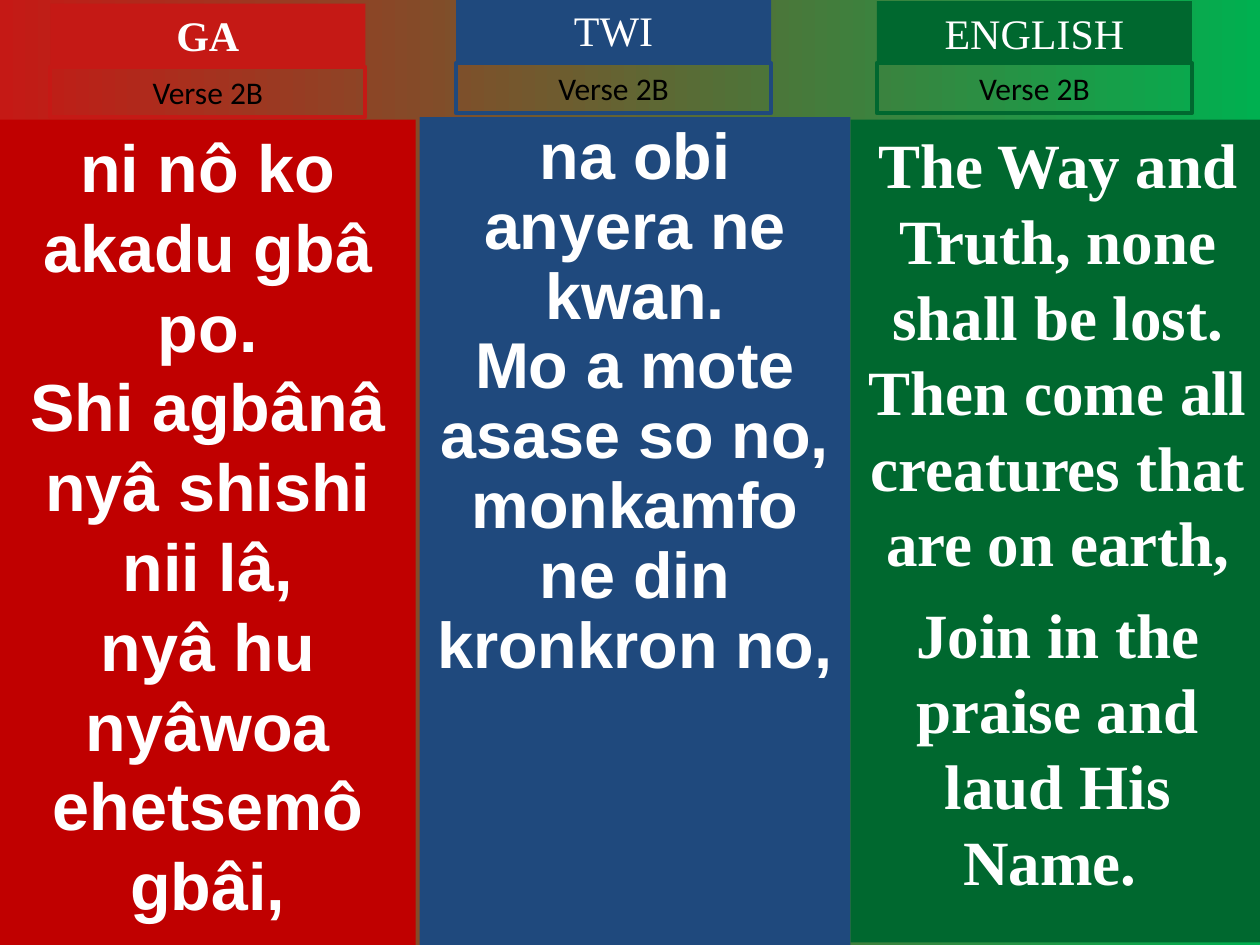
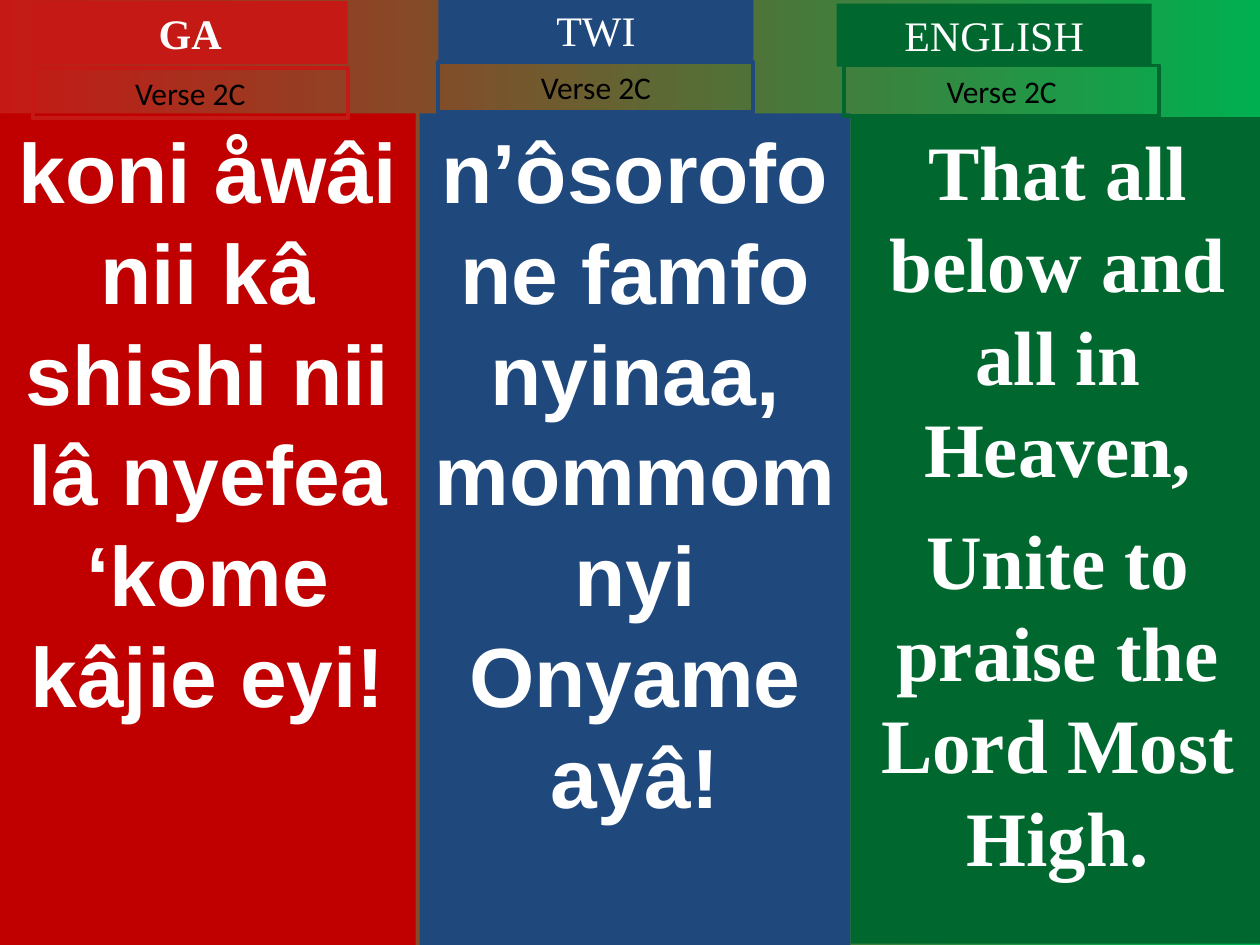
from pptx import Presentation
from pptx.dml.color import RGBColor
from pptx.enum.shapes import MSO_SHAPE
from pptx.enum.text import MSO_ANCHOR, MSO_AUTO_SIZE, PP_ALIGN
from pptx.util import Inches, Pt

RECTANGLE = MSO_SHAPE.RECTANGLE
TOP = MSO_ANCHOR.TOP
CENTER = PP_ALIGN.CENTER
GROW = MSO_AUTO_SIZE.SHAPE_TO_FIT_TEXT
FIXED = MSO_AUTO_SIZE.NONE

SLIDE_W, SLIDE_H = 10, 7.5
RED, BLUE, GREEN = "C51915", "1F497D", "00682F"
FADE_END, DEEP_RED = "00B050", "C00000"
WHITE, BLACK = "FFFFFF", "000000"
SANS, SERIF, LABEL_FONT = "Arial", "Times New Roman", "Calibri"

TAB_W = SLIDE_W / 4
NAME_H, VERSE_H = 0.5, 0.4

# language: name, accent, panel colour, panel left, panel width, lyric font, bold name
LANGUAGES = [
    ("GA", RED, DEEP_RED, 0, 3.3, SANS, True),
    ("TWI", BLUE, BLUE, 3.33, 3.42, SANS, False),
    ("ENGLISH", GREEN, GREEN, 6.75, 3.29, SERIF, False),
]

# per language: name corner, verse corner, panel top and bottom,
# lyric size, line spacing, space between paragraphs, lyrics
VERSES = {
    "Verse 2B": [
        ((0.4, 0.03), (0.4, 0.53), (0.95, 7.5), 38, 1.0, 0,
         ["ni nô ko akadu gbâ po.", "Shi agbânâ nyâ shishi nii lâ,",
          "nyâ hu nyâwoa ehetsemô gbâi,"]),
        ((3.62, -0.01), (3.62, 0.5), (0.93, 7.5), 37, 0.9, 0,
         ["na obi anyera ne kwan.", "Mo a mote asase so no,",
          "monkamfo ne din kronkron no,"]),
        ((6.96, 0.01), (6.96, 0.5), (0.95, 7.48), 36, 1.0, 9,
         ["The Way and Truth, none shall be lost. Then come all creatures "
          "that are on earth,", "Join in the praise and laud His Name. "]),
    ],
    "Verse 2C": [
        ((0.26, 0.01), (0.26, 0.54), (0.9, 7.5), 48, 1.0, 0,
         ["koni åwâi nii kâ shishi nii lâ nyefea ‘kome kâjie eyi!"]),
        ((3.48, -0.01), (3.48, 0.49), (0.9, 7.5), 48, 1.0, 0,
         ["n’ôsorofo ne famfo nyinaa,", "mommom nyi Onyame ayâ!"]),
        ((6.64, 0.03), (6.7, 0.52), (0.93, 7.49), 44, 1.0, 11,
         ["That all below and all in Heaven,",
          "Unite to praise the Lord Most High."]),
    ],
}


def color(hex_code):
    return RGBColor.from_string(hex_code)


def paint_background(slide):
    fill = slide.background.fill
    fill.gradient()
    fill.gradient_angle = 0
    for stop, shade in zip(fill.gradient_stops, (RED, FADE_END)):
        stop.color.rgb = color(shade)


def add_box(slide, box, lines, font, size, ink, fill=None, outline=None,
            bold=False, fit=GROW, spacing=1.0, gap=0):
    """Add a rectangle with centred text starting at its top edge."""
    rectangle = slide.shapes.add_shape(RECTANGLE, *map(Inches, box))
    rectangle.shadow.inherit = False
    if fill:
        rectangle.fill.solid()
        rectangle.fill.fore_color.rgb = color(fill)
    else:
        rectangle.fill.background()
    if outline:
        rectangle.line.color.rgb = color(outline)
        rectangle.line.width = Pt(2.25)
    else:
        rectangle.line.fill.background()

    frame = rectangle.text_frame
    frame.word_wrap = True
    frame.auto_size = fit
    frame.vertical_anchor = TOP
    frame.text = "\n".join(lines)
    for index, paragraph in enumerate(frame.paragraphs):
        paragraph.alignment = CENTER
        paragraph.line_spacing = spacing
        paragraph.space_before = Pt(gap if index else 0)
        for run in paragraph.runs:
            run.font.name = font
            run.font.size = Pt(size)
            run.font.bold = bold
            run.font.color.rgb = color(ink)


def add_language_column(slide, language, verse, placement):
    name, accent, panel_color, left, width, font, bold_name = language
    name_at, verse_at, (top, bottom), size, spacing, gap, lyrics = placement
    add_box(slide, (left, top, width, bottom - top), lyrics, font, size, WHITE,
            fill=panel_color, bold=True, fit=FIXED, spacing=spacing, gap=gap)
    add_box(slide, (*name_at, TAB_W, NAME_H), [name], SERIF, 24, WHITE,
            fill=accent, bold=bold_name)
    add_box(slide, (*verse_at, TAB_W, VERSE_H), [verse], LABEL_FONT, 18, BLACK,
            outline=accent)


def add_verse_slide(deck, verse, placements):
    slide = deck.slides.add_slide(deck.slide_layouts[6])
    paint_background(slide)
    for language, placement in zip(LANGUAGES, placements):
        add_language_column(slide, language, verse, placement)


def main():
    deck = Presentation()
    deck.slide_width, deck.slide_height = Inches(SLIDE_W), Inches(SLIDE_H)
    for verse, placements in VERSES.items():
        add_verse_slide(deck, verse, placements)
    deck.save("out.pptx")


if __name__ == "__main__":
    main()
